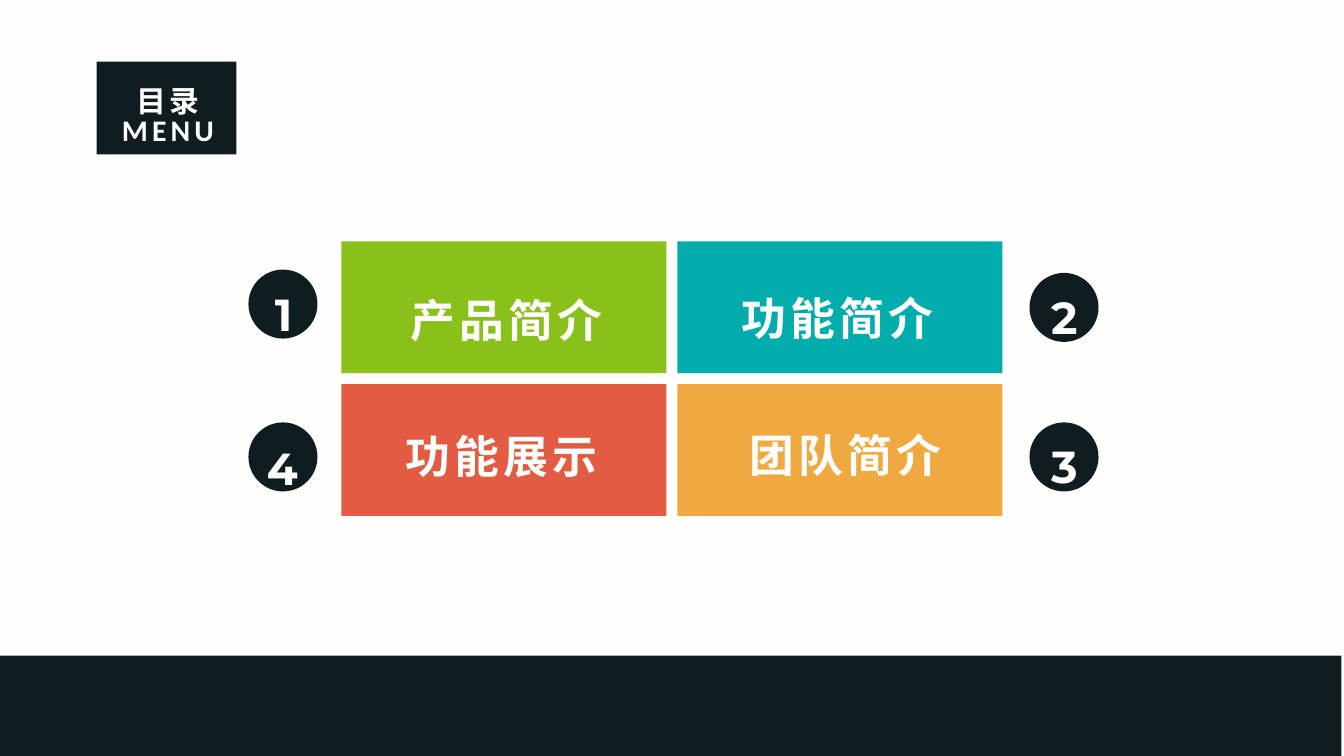
"""Build a menu slide with four coloured tiles and numbered dots."""
from lxml.etree import SubElement
from pptx import Presentation
from pptx.dml.color import RGBColor
from pptx.enum.shapes import MSO_SHAPE
from pptx.enum.text import MSO_ANCHOR, PP_ALIGN
from pptx.oxml.ns import qn
from pptx.util import Pt

DARK, PALE = "0F1C20", "FEFEFC"
HAN, NUM, LATIN = "Noto Sans CJK SC", "Montserrat", "Calibri"
LEFT, TOP, WIDE, HIGH = 182.9, 129.3, 174.1, 70.6
STEP_X, STEP_Y = 180, 76.5
DOT = 37

# column, row, fill, label, label box, number, dot centre, number box
TILES = [
    (0, 0, "89C01A", "产品简介", (181.4, 125.3), "1", (151.6, 162.9), (103.7, 136.1)),
    (1, 0, "03ADAD", "功能简介", (358.6, 123.8), "2", (570, 164.7), (522, 137.3)),
    (1, 1, "F0A941", "团队简介", (362.9, 197.3), "3", (570, 244.8), (522, 217.4)),
    (0, 1, "E35B42", "功能展示", (178.6, 198), "4", (151.6, 244.8), (103, 218.2)),
]
BLOCKS = [
    ((51.8, 33, 74.9, 49.7), DARK),
    ((0, 351.2, 718.6, 53.8), DARK),
]
HEADS = [
    ("MENU", (43.2, 35.3, 93.6, 59), LATIN),
    ("目录", (36, 29.5, 108, 38.9), HAN),
]


def color(code):
    return RGBColor.from_string(code)


def apply(part, form):
    for key, value in form.items():
        setattr(part, key, value)


def block(box, code, kind=MSO_SHAPE.RECTANGLE):
    shape = slide.shapes.add_shape(kind, *map(Pt, box))
    shape.shadow.inherit = False
    shape.fill.solid()
    shape.fill.fore_color.rgb = color(code)
    shape.line.fill.background()


def label(text, box, face, size, gap=0):
    frame = slide.shapes.add_textbox(*map(Pt, box)).text_frame
    apply(frame, {"word_wrap": True, "vertical_anchor": MSO_ANCHOR.MIDDLE})
    para = frame.paragraphs[0]
    apply(para, {"alignment": PP_ALIGN.CENTER, "line_spacing": 1.5})
    run = para.add_run()
    run.text = text
    apply(run.font, {"name": face, "size": Pt(size), "bold": True})
    run.font.color.rgb = color(PALE)
    props = run._r.get_or_add_rPr()
    props.set("spc", str(gap))
    SubElement(props, qn("a:ea")).set("typeface", face)


deck = Presentation()
apply(deck, {"slide_width": Pt(720), "slide_height": Pt(405)})
slide = deck.slides.add_slide(deck.slide_layouts[6])
slide.background.fill.solid()
slide.background.fill.fore_color.rgb = color(PALE)

for col, row, code, *_ in TILES:
    block((LEFT + col * STEP_X, TOP + row * STEP_Y, WIDE, HIGH), code)
for *_, name, spot, digit, (mid_x, mid_y), place in TILES:
    label(name, (*spot, 180, 77.8), HAN, 24, 220)
    block((mid_x - DOT / 2, mid_y - DOT / 2, DOT, DOT), DARK, MSO_SHAPE.OVAL)
    label(digit, (*place, 96.5, 49.7), NUM, 24)
for box, code in BLOCKS:
    block(box, code)
for text, box, face in HEADS:
    label(text, box, face, 16, 220)

deck.save("out.pptx")
